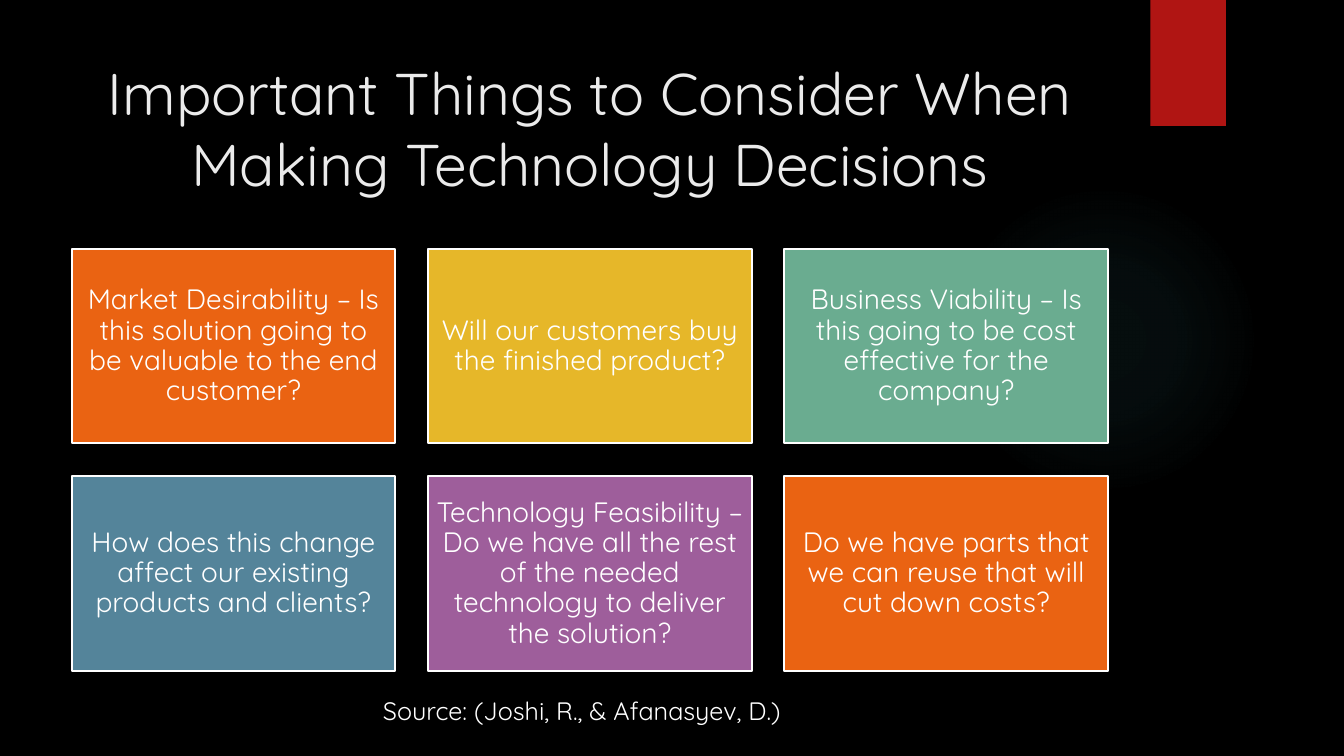
from dataclasses import dataclass

from lxml.etree import SubElement
from pptx import Presentation
from pptx.dml.color import RGBColor
from pptx.enum.shapes import MSO_SHAPE
from pptx.enum.text import MSO_ANCHOR, PP_ALIGN
from pptx.oxml.ns import qn
from pptx.util import Inches, Pt


@dataclass(frozen=True)
class Theme:
    font: str = "Quicksand"
    background: str = "000000"
    title: str = "EBEBEB"
    text: str = "FFFFFF"
    ribbon: str = "B01513"
    glow: str = "50B9C1"
    orange: str = "EA6312"
    yellow: str = "E6B729"
    green: str = "6AAC90"
    blue: str = "54849A"
    purple: str = "9E5E9B"
    title_size: int = 42
    tile_size: int = 20
    source_size: int = 18


theme = Theme()


def format_text(paragraph, size, color, alignment):
    paragraph.alignment = alignment
    for run in paragraph.runs:
        run.font.name = theme.font
        run.font.size = Pt(size)
        run.font.color.rgb = RGBColor.from_string(color)


def add_filled_shape(preset, left, top, width, height, color):
    shape = slide.shapes.add_shape(
        preset, Inches(left), Inches(top), Inches(width), Inches(height))
    shape.shadow.inherit = False
    shape.fill.solid()
    shape.fill.fore_color.rgb = RGBColor.from_string(color)
    shape.line.fill.background()
    return shape


presentation = Presentation()
presentation.slide_width = Inches(13.33)
presentation.slide_height = Inches(7.5)
slide = presentation.slides.add_slide(presentation.slide_layouts[5])
slide.background.fill.solid()
slide.background.fill.fore_color.rgb = RGBColor.from_string(theme.background)

# Grid shared by the title and the tiles
grid_left, grid_top, grid_width = 0.71, 2.47, 10.28
tile_width, tile_height, columns = 3.21, 1.93, 3
gap = (grid_width - columns * tile_width) / (columns - 1)

# Title
title = slide.shapes.title
title.left, title.top = Inches(grid_left), Inches(0.5)
title.width, title.height = Inches(grid_width), Inches(1.53)
title.text_frame.text = "Important Things to Consider When Making Technology Decisions"
title.text_frame.word_wrap = True
title.text_frame.vertical_anchor = MSO_ANCHOR.MIDDLE
format_text(title.text_frame.paragraphs[0], theme.title_size, theme.title, PP_ALIGN.CENTER)

# Backdrop: a faint round glow and the corner ribbon, both behind the title
glow = add_filled_shape(MSO_SHAPE.OVAL, 9.41, 1.83, 3.08, 3.08, theme.glow)
glow.fill.gradient()
gradient = glow.element.spPr.find(qn("a:gradFill"))
for child in list(gradient):
    gradient.remove(child)
stops = SubElement(gradient, qn("a:gsLst"))
for position, opacity in ((0, 7), (36, 6), (69, 0)):
    stop = SubElement(stops, qn("a:gs"), pos=str(position * 1000))
    color = SubElement(stop, qn("a:srgbClr"), val=theme.glow)
    SubElement(color, qn("a:alpha"), val=str(opacity * 1000))
circle = SubElement(gradient, qn("a:path"), path="circle")
SubElement(circle, qn("a:fillToRect"), l="50000", t="50000", r="50000", b="50000")
ribbon = add_filled_shape(MSO_SHAPE.RECTANGLE, 11.41, 0, 0.75, 1.25, theme.ribbon)
for backdrop in (glow, ribbon):
    title.element.addprevious(backdrop.element)

# Tiles
tiles = (
    ("Market Desirability – Is this solution going to be valuable to the end customer?",
     theme.orange),
    ("Will our customers buy the finished product?", theme.yellow),
    ("Business Viability – Is this going to be cost effective for the company?", theme.green),
    ("How does this change affect our existing products and clients?", theme.blue),
    ("Technology Feasibility – Do we have all the rest of the needed technology "
     "to deliver the solution?", theme.purple),
    ("Do we have parts that we can reuse that will cut down costs?", theme.orange),
)
for index, (question, color) in enumerate(tiles):
    row, column = divmod(index, columns)
    tile = add_filled_shape(
        MSO_SHAPE.RECTANGLE,
        grid_left + column * (tile_width + gap),
        grid_top + row * (tile_height + gap),
        tile_width, tile_height, color)
    tile.line.color.rgb = RGBColor.from_string(theme.text)
    tile.line.width = Pt(1.5)
    frame = tile.text_frame
    frame.text = question
    frame.word_wrap = True
    frame.vertical_anchor = MSO_ANCHOR.MIDDLE
    frame.margin_left = frame.margin_right = Inches(0.08)
    frame.margin_top = frame.margin_bottom = Inches(0.08)
    paragraph = frame.paragraphs[0]
    paragraph.line_spacing = 0.9
    paragraph.space_after = Pt(7)
    format_text(paragraph, theme.tile_size, theme.text, PP_ALIGN.CENTER)

# Source
source = slide.shapes.add_textbox(Inches(3.7), Inches(6.85), Inches(5), Inches(0.4))
source.text_frame.text = "Source: (Joshi, R., & Afanasyev, D.)"
source.text_frame.word_wrap = True
format_text(source.text_frame.paragraphs[0], theme.source_size, theme.text, PP_ALIGN.LEFT)

presentation.save("out.pptx")
